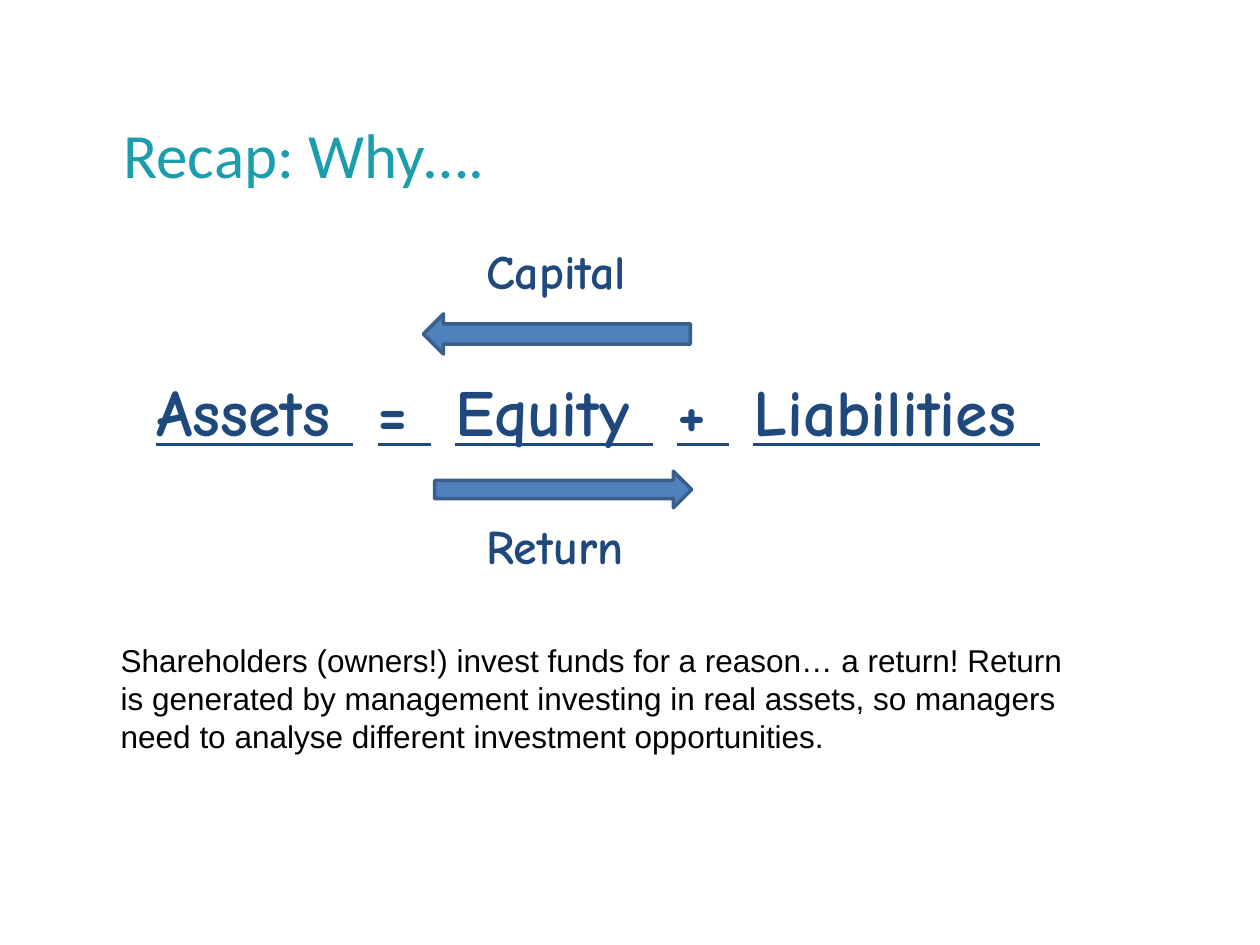
import pptx
import pptx.dml.color
import pptx.enum.shapes
import pptx.enum.text
import pptx.util

Pt = pptx.util.Pt
COLORS = {"title": "1A9DAC", "navy": "1F497D", "fill": "4F81BD",
          "line": "3A5F8C", "body": "000000"}
HAND_FONT = "Comic Neue"
LABEL_LEFT = 270.7
GAP_SPACING = 13.7  # widens one space to the width of two


def color(name):
    return pptx.dml.color.RGBColor.from_string(COLORS[name])


def add_span(para, text, size, font, ink, bold=False, underline=False, spacing=0):
    span = para.add_run()
    span.text = text
    span.font.size = Pt(size)
    span.font.name = font
    span.font.bold = bold
    span.font.underline = underline
    span.font.color.rgb = color(ink)
    if spacing:
        span._r.get_or_add_rPr().set("spc", str(round(spacing * 100)))


def add_text(page, text, left, top, width, height, inset=None,
             line_spacing=None, centered=False, gap=0, **style):
    """Add a text box; with a gap, the spaces between words are widened."""
    box = page.shapes.add_textbox(Pt(left), Pt(top), Pt(width), Pt(height))
    frame = box.text_frame
    frame.word_wrap = True
    if inset is not None:
        frame.margin_left = frame.margin_right = Pt(inset)
        frame.margin_top = frame.margin_bottom = Pt(inset)
    para = frame.paragraphs[0]
    if line_spacing:
        para.line_spacing = Pt(line_spacing)
    if centered:
        para.alignment = pptx.enum.text.PP_ALIGN.CENTER
    if not gap:
        add_span(para, text, **style)
        return
    words = text.split()
    for word in words:
        add_span(para, word, **style)
        add_span(para, " ", spacing=0 if word == words[-1] else gap, **style)


def add_arrow(page, left, top, width, height, rotation=0):
    arrow = page.shapes.add_shape(
        pptx.enum.shapes.MSO_SHAPE.RIGHT_ARROW,
        Pt(left), Pt(top), Pt(width), Pt(height))
    arrow.rotation = rotation
    arrow.shadow.inherit = False
    arrow.fill.solid()
    arrow.fill.fore_color.rgb = color("fill")
    arrow.line.color.rgb = color("line")
    arrow.line.width = Pt(2)


def main():
    deck = pptx.Presentation()
    deck.slide_width, deck.slide_height = Pt(720), Pt(540)
    page = deck.slides.add_slide(deck.slide_layouts[6])

    # Title
    add_text(page, "Recap: Why….", 70.6, 71.3, 525, 82.8, inset=0,
             line_spacing=37.7, size=36, font="Calibri", ink="title")

    # Capital flows to assets
    label = {"size": 27.4, "font": HAND_FONT, "ink": "navy", "bold": True}
    add_text(page, "Capital", LABEL_LEFT, 134.6, 125.3, 40.3, **label)
    add_arrow(page, 241.9, 179.3, 152.6, 23, rotation=180)

    # Accounting equation
    add_text(page, "Assets = Equity + Liabilities", 17.3, 208.1, 648.7, 51.1,
             centered=True, gap=GAP_SPACING, size=37.6, font=HAND_FONT,
             ink="navy", bold=True, underline=True)

    # Return flows back
    add_arrow(page, 248.4, 269.3, 146.9, 20.9)
    add_text(page, "Return", LABEL_LEFT, 291.6, 103.7, 40.3, **label)

    # Explanation
    add_text(page, "Shareholders (owners!) invest funds for a reason… a return! "
             "Return is generated by management investing in real assets, so "
             "managers need to analyse different investment opportunities.",
             61.9, 362.9, 564.5, 72.7, size=18, font="Arial", ink="body")

    deck.save("out.pptx")


if __name__ == "__main__":
    main()
